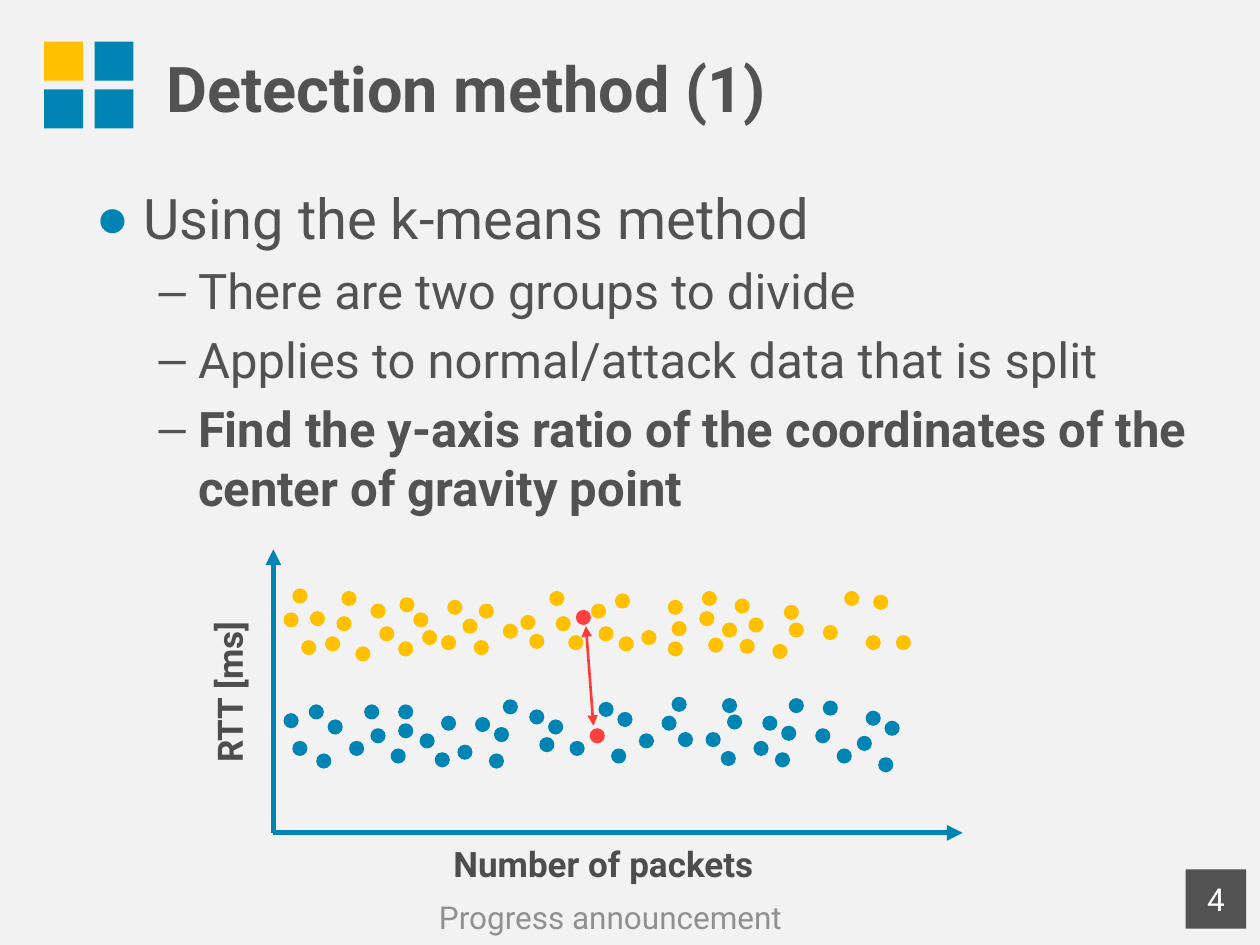
from dataclasses import dataclass

import pptx
import pptx.dml.color
import pptx.enum.shapes
import pptx.enum.text
import pptx.oxml.xmlchemy
import pptx.util

RGBColor = pptx.dml.color.RGBColor
SHAPE = pptx.enum.shapes.MSO_SHAPE
ALIGN = pptx.enum.text.PP_ALIGN
ANCHOR = pptx.enum.text.MSO_ANCHOR

BLUE = RGBColor(0x00, 0x84, 0xB4)
YELLOW = RGBColor(0xFF, 0xC0, 0x00)
RED = RGBColor(0xFF, 0x40, 0x40)
ARROW_RED = RGBColor(0xFE, 0x3A, 0x3A)
DARK = RGBColor(0x52, 0x52, 0x52)
LABEL = RGBColor(0x4D, 0x4D, 0x4D)
GREY = RGBColor(0x90, 0x90, 0x90)
WHITE = RGBColor(0xFF, 0xFF, 0xFF)
PAPER = RGBColor(0xF2, 0xF2, 0xF2)
FONT = "Roboto"

# The slide is a grid of 1000 columns by 750 rows
COLS, ROWS = 1000, 750
CELL = pptx.util.Inches(10) // COLS
DOT = 12


@dataclass
class Box:
    col: int
    row: int
    cols: int
    rows: int

    def emu(self) -> tuple:
        return tuple(CELL * n for n in (self.col, self.row, self.cols, self.rows))


@dataclass
class Cluster:
    color: RGBColor
    points: list  # (column, row) of each dot's top left corner


@dataclass
class Arrow:
    start: tuple
    end: tuple
    color: RGBColor
    width: float
    ends: tuple


@dataclass
class Label:
    box: Box
    text: str
    font: dict
    align: ALIGN = ALIGN.LEFT
    anchor: ANCHOR = ANCHOR.TOP
    rotation: int = 0


def text_format(size: float, color: RGBColor, bold: bool = False) -> dict:
    return {"name": FONT, "size": pptx.util.Pt(size), "bold": bold, "color": color}


def write(p, text: str, font: dict) -> None:
    r = p.add_run()
    r.text = text
    for key, value in font.items():
        if key == "color":
            r.font.color.rgb = value
        else:
            setattr(r.font, key, value)


def place(shape, box: Box) -> None:
    for key, value in zip(("left", "top", "width", "height"), box.emu()):
        setattr(shape, key, value)


def add_element(parent, tag: str, **attributes: str):
    element = pptx.oxml.xmlchemy.OxmlElement(tag)
    for key, value in attributes.items():
        element.set(key, value)
    parent.append(element)
    return element


def add_filled(s, kind: SHAPE, box: Box, color: RGBColor):
    sp = s.shapes.add_shape(kind, *box.emu())
    sp.shadow.inherit = False
    sp.fill.solid()
    sp.fill.fore_color.rgb = color
    sp.line.fill.background()
    return sp


def add_cluster(s, cluster: Cluster) -> None:
    for col, row in cluster.points:
        add_filled(s, SHAPE.FLOWCHART_CONNECTOR, Box(col, row, DOT, DOT), cluster.color)


def add_arrow(s, arrow: Arrow) -> None:
    ends = [CELL * n for n in arrow.start + arrow.end]
    line = s.shapes.add_connector(pptx.enum.shapes.MSO_CONNECTOR.STRAIGHT, *ends)
    line.line.color.rgb = arrow.color
    line.line.width = pptx.util.Pt(arrow.width)
    spPr = line._element.spPr
    for tag in arrow.ends:
        add_element(spPr.get_or_add_ln(), tag, type="triangle")
    add_element(spPr, "a:effectLst")


def add_label(s, label: Label) -> None:
    sp = s.shapes.add_textbox(*label.box.emu())
    sp.rotation = label.rotation
    tf = sp.text_frame
    tf.word_wrap = True
    tf.vertical_anchor = label.anchor
    tf.paragraphs[0].alignment = label.align
    write(tf.paragraphs[0], label.text, label.font)


def set_bullet(p, char: str, color: RGBColor) -> None:
    pPr = p._p.get_or_add_pPr()
    add_element(add_element(pPr, "a:buClr"), "a:srgbClr", val=str(color))
    add_element(pPr, "a:buChar", char=char)


BULLETS = [  # level, text, size, bold
    (0, "Using the k-means method", 32, False),
    (1, "There are two groups to divide", 28, False),
    (1, "Applies to normal/attack data that is split", 28, False),
    (1, "Find the y-axis ratio of the coordinates of the center of gravity point", 28, True),
]

CLUSTERS = [
    Cluster(BLUE, [
        (225, 566), (232, 588), (245, 559), (251, 598), (260, 571), (277, 588), (289, 559),
        (294, 578), (310, 594), (316, 574), (316, 559), (333, 582), (345, 597), (350, 568),
        (363, 591), (377, 569), (388, 598), (392, 577), (399, 555), (420, 563), (428, 585),
        (435, 571), (452, 588), (475, 557), (485, 594), (490, 565), (507, 582), (525, 568),
        (533, 553), (538, 581), (560, 581), (572, 596), (573, 554), (577, 567), (598, 588),
        (605, 568), (615, 597), (620, 576), (626, 554), (647, 578), (653, 556), (664, 594),
        (680, 584), (687, 564), (697, 601), (702, 572)]),
    Cluster(YELLOW, [
        (225, 486), (232, 467), (239, 508), (246, 485), (258, 505), (267, 489), (271, 469),
        (282, 513), (294, 479), (301, 497), (316, 509), (317, 474), (328, 486), (335, 500),
        (350, 504), (355, 476), (367, 491), (376, 508), (380, 479), (399, 495), (413, 488),
        (420, 503), (436, 469), (441, 489), (451, 504), (469, 479), (475, 497), (488, 471),
        (491, 505), (509, 500), (530, 476), (530, 509), (533, 493), (555, 485), (557, 469),
        (562, 506), (573, 494), (583, 475), (587, 507), (594, 490), (613, 511), (622, 480),
        (626, 494), (653, 496), (670, 469), (687, 504), (693, 472), (711, 504)]),
    Cluster(RED, [(457, 484), (468, 578)]),
]

ARROWS = [
    Arrow((217, 661), (217, 436), BLUE, 3, ("a:tailEnd",)),
    Arrow((217, 661), (764, 661), BLUE, 3, ("a:tailEnd",)),
    Arrow((465, 497), (471, 576), ARROW_RED, 1.5, ("a:headEnd", "a:tailEnd")),
]

AXIS_FONT = text_format(20, LABEL, True)
LABELS = [
    Label(Box(103, 514, 158, 44), "RTT [ms]", AXIS_FONT, rotation=270),
    Label(Box(350, 664, 280, 44), "Number of packets", AXIS_FONT),
    Label(Box(35, 708, 899, 40), "Progress announcement", text_format(18, GREY),
          ALIGN.CENTER, ANCHOR.MIDDLE),
]


def main() -> None:
    prs = pptx.Presentation()
    prs.slide_width, prs.slide_height = CELL * COLS, CELL * ROWS
    s = prs.slides.add_slide(prs.slide_layouts[1])
    s.background.fill.solid()
    s.background.fill.fore_color.rgb = PAPER
    # Title and list
    title, body = s.placeholders
    place(title, Box(122, 5, 867, 128))
    p = title.text_frame.paragraphs[0]
    p.alignment = ALIGN.LEFT
    write(p, "Detection method (1)", text_format(36, DARK, True))
    place(body, Box(66, 141, 915, 520))
    tf = body.text_frame
    tf.auto_size = pptx.enum.text.MSO_AUTO_SIZE.NONE
    for i, (level, text, size, bold) in enumerate(BULLETS):
        p = tf.add_paragraph() if i else tf.paragraphs[0]
        p.level = level
        if level == 0:
            set_bullet(p, "●", BLUE)
        write(p, text, text_format(size, DARK, bold))
    # Four-square ornament
    for i, color in enumerate((YELLOW, BLUE, BLUE, BLUE)):
        add_filled(s, SHAPE.RECTANGLE, Box(35 + i % 2 * 40, 33 + i // 2 * 38, 31, 31), color)
    # Scatter diagram
    for cluster in CLUSTERS:
        add_cluster(s, cluster)
    for arrow in ARROWS:
        add_arrow(s, arrow)
    # Axis names, footer and page number
    for label in LABELS:
        add_label(s, label)
    page = add_filled(s, SHAPE.RECTANGLE, Box(941, 690, 48, 47), DARK)
    p = page.text_frame.paragraphs[0]
    p.alignment = ALIGN.CENTER
    write(p, "4", text_format(18, WHITE))
    prs.save("out.pptx")


if __name__ == "__main__":
    main()
